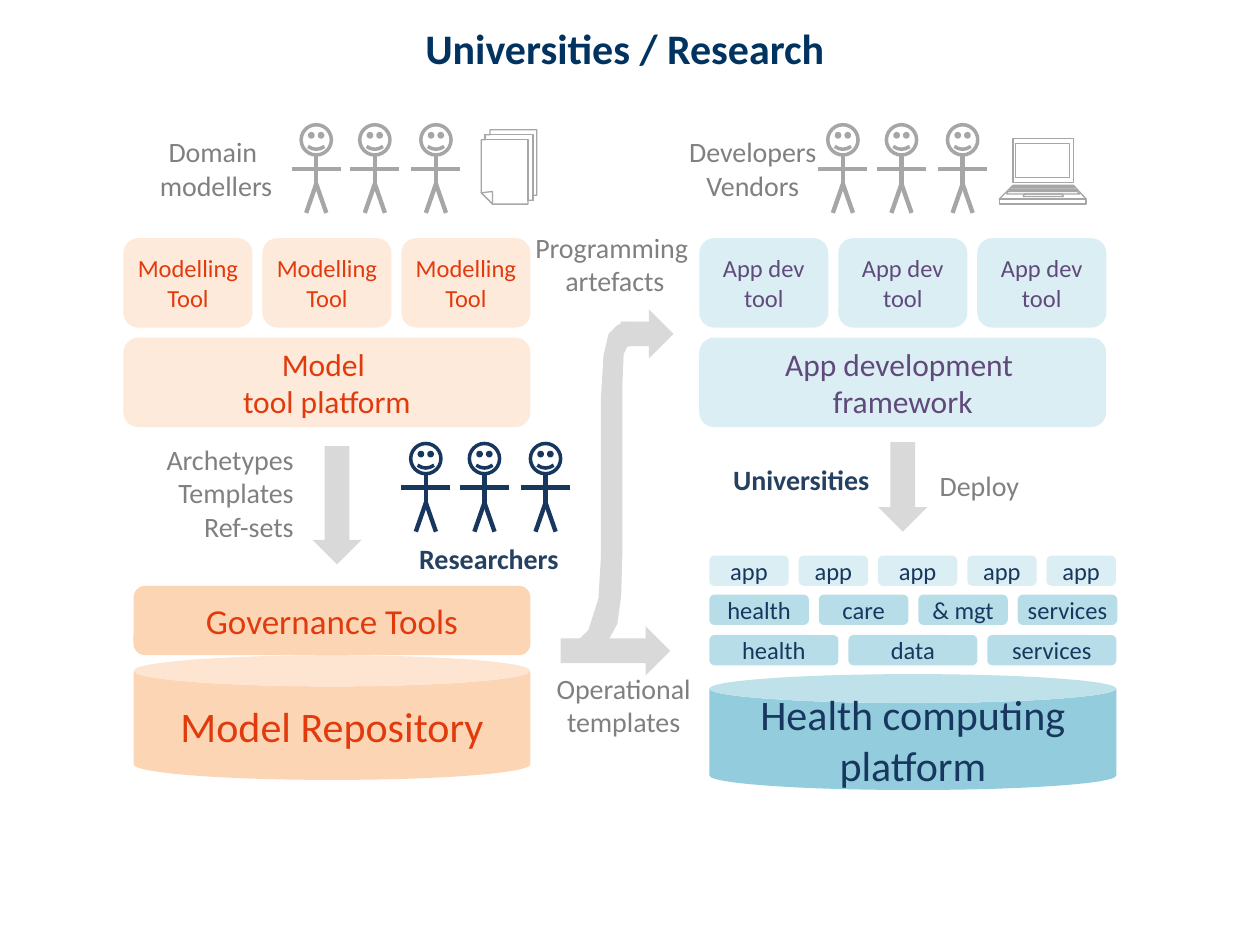
from lxml.etree import SubElement
from pptx import Presentation
from pptx.dml.color import RGBColor
from pptx.enum.shapes import MSO_CONNECTOR, MSO_SHAPE
from pptx.enum.text import MSO_ANCHOR, MSO_AUTO_SIZE, PP_ALIGN
from pptx.oxml.ns import qn
from pptx.util import Inches, Pt

WHITE = RGBColor(0xFF, 0xFF, 0xFF)
TITLE_BLUE = RGBColor(0x00, 0x33, 0x5F)
LABEL_BLUE = RGBColor(0x25, 0x40, 0x61)
NAVY = RGBColor(0x17, 0x37, 0x5E)
GREY = RGBColor(0x80, 0x80, 0x80)
OUTLINE_GREY = RGBColor(0xA6, 0xA6, 0xA6)
ARROW_GREY = RGBColor(0xD9, 0xD9, 0xD9)
RED = RGBColor(0xE1, 0x3A, 0x0D)
PEACH = RGBColor(0xFD, 0xEA, 0xDA)
ORANGE = RGBColor(0xFC, 0xD5, 0xB5)
PURPLE = RGBColor(0x60, 0x4A, 0x7B)
PALE_AQUA = RGBColor(0xDB, 0xEE, 0xF4)
AQUA = RGBColor(0xB7, 0xDE, 0xE8)
DEEP_AQUA = RGBColor(0x93, 0xCD, 0xDD)

COLUMNS, ROWS = 100, 75


class Diagram:
    font = "Calibri"
    gap = 0.79
    tight = 0.4

    def __init__(self, deck):
        self.slide = deck.slides.add_slide(deck.slide_layouts[6])
        self.shapes = self.slide.shapes
        self.column = deck.slide_width / COLUMNS
        self.row = deck.slide_height / ROWS

    def x(self, columns):
        return round(columns * self.column)

    def y(self, rows):
        return round(rows * self.row)

    def frame(self, left, top, width, height):
        return self.x(left), self.y(top), self.x(width), self.y(height)

    def add_text(self, text_frame, text, size, color, align, bold=False):
        for number, content in enumerate(text.split("\n")):
            paragraph = text_frame.paragraphs[0] if number == 0 else text_frame.add_paragraph()
            paragraph.alignment = align
            for position, line in enumerate(content.split("\v")):
                if position:
                    paragraph.add_line_break()
                run = paragraph.add_run()
                run.text = line
                run.font.name = self.font
                run.font.size = Pt(size)
                run.font.bold = bold
                run.font.color.rgb = color

    def label(self, text, place, color=GREY, size=16, align=PP_ALIGN.CENTER, bold=False, wrap=False):
        text_frame = self.shapes.add_textbox(*self.frame(*place)).text_frame
        text_frame.word_wrap = wrap
        text_frame.auto_size = MSO_AUTO_SIZE.SHAPE_TO_FIT_TEXT
        self.add_text(text_frame, text, size, color, align, bold)

    def paint(self, shape, fill, outline=None, weight=0.75):
        shape.shadow.inherit = False
        shape.fill.solid()
        shape.fill.fore_color.rgb = fill
        if outline is None:
            shape.line.fill.background()
        else:
            shape.line.color.rgb = outline
            shape.line.width = Pt(weight)

    def block(self, text, place, fill, color, size, kind=MSO_SHAPE.ROUNDED_RECTANGLE, tight=False):
        shape = self.shapes.add_shape(kind, *self.frame(*place))
        self.paint(shape, fill)
        text_frame = shape.text_frame
        text_frame.word_wrap = True
        text_frame.vertical_anchor = MSO_ANCHOR.MIDDLE
        if tight:
            text_frame.margin_left = text_frame.margin_right = self.x(self.tight)
            text_frame.margin_top = text_frame.margin_bottom = self.y(self.tight)
        self.add_text(text_frame, text, size, color, PP_ALIGN.CENTER)

    def block_row(self, names, widths, left, top, height, fill, color, tight=False):
        for name, width in zip(names, widths):
            self.block(name, (left, top, width, height), fill, color, 14, tight=tight)
            left += width + self.gap

    def arrow(self, place, rotation=0):
        shape = self.shapes.add_shape(MSO_SHAPE.DOWN_ARROW, *self.frame(*place))
        shape.rotation = rotation
        self.paint(shape, ARROW_GREY)

    def line(self, x1, y1, x2, y2, color, weight):
        connector = self.shapes.add_connector(
            MSO_CONNECTOR.STRAIGHT, self.x(x1), self.y(y1), self.x(x2), self.y(y2))
        connector.line.color.rgb = color
        connector.line.width = Pt(weight)
        SubElement(connector._element.spPr, qn("a:effectLst"))

    def person(self, center, top, color):
        head = self.shapes.add_shape(MSO_SHAPE.SMILEY_FACE, *self.frame(center - 1.2, top, 2.4, 2.4))
        self.paint(head, WHITE, color, 2)
        limbs = [(0, 2.4, 0, 4.8), (0, 4.7, 0.8, 7), (0, 4.7, -0.8, 7), (-1.95, 3.5, 1.95, 3.5)]
        for x1, y1, x2, y2 in limbs:
            self.line(center + x1, top + y1, center + x2, top + y2, color, 2.5)

    def group_of_people(self, center, top, color):
        for offset in (0, 4.65, 9.5):
            self.person(center + offset, top, color)

    def outline(self, contours, fill, color=None):
        scaled = [[(self.x(x), self.y(y)) for x, y in contour] for contour in contours]
        builder = self.shapes.build_freeform(*scaled[0][0])
        for number, contour in enumerate(scaled):
            if number:
                builder.move_to(*contour[0])
            builder.add_line_segments(contour[1:], close=True)
        self.paint(builder.convert_to_shape(), fill, color)


def band(top, bottom, top_left, top_right, bottom_left, bottom_right):
    return [(top_left, top), (top_right, top), (bottom_right, bottom), (bottom_left, bottom)]


def main():
    deck = Presentation()
    deck.slide_width, deck.slide_height = Inches(10), Inches(7.5)
    diagram = Diagram(deck)

    diagram.label("Universities / Research", (10.6, 1.3, 78, 5), TITLE_BLUE, 24, bold=True, wrap=True)

    diagram.arrow((24.8, 35.4, 3.9, 9.4))
    diagram.label("Archetypes \vTemplates \vRef-sets ", (12, 34.6, 12.8, 9.1), align=PP_ALIGN.RIGHT)
    diagram.arrow((69.7, 35.1, 3.9, 7.1))
    diagram.label("Deploy", (73.6, 36.7, 8.4, 3.7), align=PP_ALIGN.LEFT)
    diagram.arrow((49.4, 24.4, 3.9, 4.2), 270)
    diagram.arrow((46.9, 47.3, 3.9, 8.7), 270)
    artefact_flow = [
        (45.3, 50.7), (46, 50.7), (46.7, 50), (47.5, 47.5), (47.7, 44.1), (47.7, 31.5),
        (47.9, 28.2), (48.3, 26.5), (49, 25.8), (49.8, 25.5), (49.8, 27.5), (49.5, 28.1),
        (49.4, 30.5), (49.4, 43.8), (49.3, 47.3), (49, 49.5), (48.2, 51)]
    diagram.outline([artefact_flow], ARROW_GREY)
    diagram.line(48, 51.3, 45.8, 50.9, ARROW_GREY, 3)
    diagram.label("Programming \vartefacts", (41.4, 17.8, 14.8, 6.4))
    diagram.label("Operational\vtemplates", (43.1, 52.8, 12.8, 6.4))
    diagram.line(49.8, 27.5, 49.9, 25.7, ARROW_GREY, 3)

    diagram.label("Domain \vmodellers", (11.6, 10.2, 11.1, 6.4))
    diagram.label("Developers\nVendors", (53.6, 10.2, 12.3, 6.4))
    diagram.group_of_people(25.1, 9.9, OUTLINE_GREY)
    diagram.group_of_people(66.9, 9.9, OUTLINE_GREY)

    paper_stack = [
        (38.2, 15.3), (38.2, 11.1), (38.5, 11.1), (38.5, 10.7), (38.9, 10.7), (38.9, 10.3),
        (42.6, 10.3), (42.6, 15.5), (42.3, 15.5), (42.3, 15.9), (41.9, 15.9), (41.9, 16.2),
        (39.1, 16.2)]
    sheet_edges = [
        (38.9, 10.7), (42.3, 10.7), (42.3, 15.9), (41.9, 15.9), (41.9, 11.1), (38.5, 11.1),
        (38.5, 10.7)]
    folded_corner = [(38.2, 15.3), (39.1, 15.2), (39.1, 16.2)]
    diagram.outline([paper_stack, sheet_edges, folded_corner], WHITE, OUTLINE_GREY)

    laptop = [
        band(11, 14.5, 80.4, 85.2, 80.4, 85.2),
        band(14.7, 15.8, 80.4, 85.2, 79.3, 86.2),
        band(15.8, 16.2, 79.3, 86.2, 79.3, 86.2),
        band(11.4, 14.1, 80.6, 84.9, 80.6, 84.9),
        band(14.8, 14.9, 80.4, 85.2, 80.2, 85.3),
        band(15.4, 15.6, 81.3, 84.3, 81.2, 84.4),
        band(15, 15.1, 80.2, 85.3, 80.1, 85.5),
        band(15.2, 15.4, 80, 85.5, 79.9, 85.7)]
    diagram.outline(laptop, WHITE, OUTLINE_GREY)

    diagram.group_of_people(33.8, 35.2, NAVY)
    diagram.label("Researchers", (32.2, 42.5, 13.2, 3.7), LABEL_BLUE, bold=True)
    diagram.label("Universities", (57.1, 36.2, 13, 3.7), LABEL_BLUE, bold=True)

    diagram.block("Model \vtool platform", (9.8, 26.8, 32.3, 7.1), PEACH, RED, 18)
    diagram.block_row(["Modelling Tool"] * 3, [10.24] * 3, 9.8, 18.9, 7.1, PEACH, RED, tight=True)
    diagram.block("Model Repository", (10.6, 52, 31.5, 9.9), ORANGE, RED, 24, MSO_SHAPE.CAN)
    diagram.block("Governance Tools", (10.6, 46.5, 31.5, 5.5), ORANGE, RED, 20, tight=True)

    diagram.block("App development \vframework", (55.5, 26.8, 32.3, 7.1), PALE_AQUA, PURPLE, 18)
    diagram.block_row(["App dev tool"] * 3, [10.24] * 3, 55.5, 18.9, 7.1, PALE_AQUA, PURPLE)
    diagram.block_row(["health", "data", "services"], [10.24] * 3, 56.3, 50.4, 2.4, AQUA, NAVY, tight=True)
    diagram.block_row(["health", "care", "& mgt", "services"], [7.9, 7.1, 7.1, 7.9],
                      56.3, 47.2, 2.4, AQUA, NAVY, tight=True)
    diagram.block_row(["app"] * 5, [6.3, 5.5, 6.3, 5.5, 5.5], 56.3, 44.1, 2.4, PALE_AQUA, NAVY)
    diagram.block("Health computing platform", (56.3, 53.5, 32.3, 9.2), DEEP_AQUA, NAVY, 24, MSO_SHAPE.CAN)

    deck.save("out.pptx")


if __name__ == "__main__":
    main()
